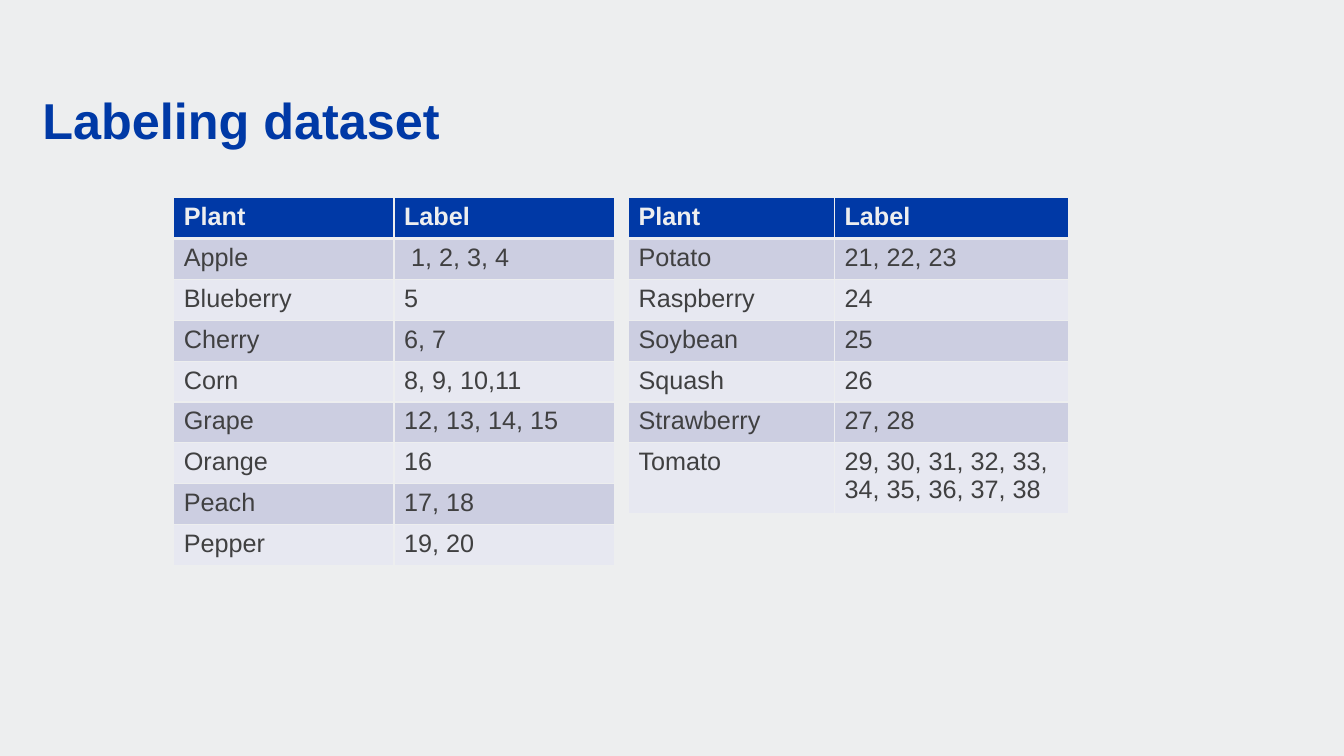
from lxml.etree import SubElement
from pptx import Presentation
from pptx.dml.color import RGBColor
from pptx.enum.text import MSO_ANCHOR
from pptx.oxml.ns import qn
from pptx.util import Cm, Pt

BLUE, PALE, INK = "0039A6", "EDEEEF", "404041"
BANDS = ["CCCEE1", "E7E8F1"]
HEADER = ("Plant", "Label")
ROW_HEIGHT = 1.03
FIRST_PLANTS = [
    ("Apple", " 1, 2, 3, 4"),
    ("Blueberry", "5"),
    ("Cherry", "6, 7"),
    ("Corn", "8, 9, 10,11"),
    ("Grape", "12, 13, 14, 15"),
    ("Orange", "16"),
    ("Peach", "17, 18"),
    ("Pepper", "19, 20"),
]
LAST_PLANTS = [
    ("Potato", "21, 22, 23"),
    ("Raspberry", "24"),
    ("Soybean", "25"),
    ("Squash", "26"),
    ("Strawberry", "27, 28"),
    ("Tomato", "29, 30, 31, 32, 33, 34, 35, 36, 37, 38"),
]


def paint(fill, color):
    """Make a fill solid in a hex colour."""
    fill.solid()
    fill.fore_color.rgb = RGBColor.from_string(color)


def set_font(p, size, color, bold):
    """Set the font of a paragraph."""
    p.font.name = "Arial"
    p.font.size = Pt(size)
    p.font.bold = bold
    paint(p.font.fill, color)


def set_borders(cell, top, bottom):
    """Draw pale borders round a cell, with widths in points."""
    tc_pr = cell._tc.get_or_add_tcPr()
    for side, width in (("L", 1), ("R", 1), ("T", top), ("B", bottom)):
        ln = SubElement(tc_pr, qn(f"a:ln{side}"), w=str(Pt(width)))
        SubElement(SubElement(ln, qn("a:solidFill")), qn("a:srgbClr"), val=PALE)


def add_title(slide, text, left, top, width, height):
    """Place the slide title at the bottom of its box."""
    tf = slide.shapes.add_textbox(Cm(left), Cm(top), Cm(width), Cm(height)).text_frame
    tf.margin_left = tf.margin_top = tf.margin_right = tf.margin_bottom = 0
    tf.word_wrap = True
    tf.vertical_anchor = MSO_ANCHOR.BOTTOM
    p = tf.paragraphs[0]
    p.text = text
    p.line_spacing = 0.9
    set_font(p, 36, BLUE, True)


def add_plant_table(slide, plants, left, top, col_widths):
    """Place a banded table of plants and their labels."""
    rows = [HEADER] + plants
    table = slide.shapes.add_table(
        len(rows), len(HEADER), Cm(left), Cm(top),
        Cm(sum(col_widths)), Cm(ROW_HEIGHT * len(rows))).table
    for column, width in zip(table.columns, col_widths):
        column.width = Cm(width)
    for i, values in enumerate(rows):
        table.rows[i].height = Cm(ROW_HEIGHT)
        is_header = i == 0
        for cell, value in zip(table.rows[i].cells, values):
            cell.text = value
            set_font(cell.text_frame.paragraphs[0], 18,
                     PALE if is_header else INK, is_header)
            set_borders(cell, 3 if i == 1 else 1, 3 if is_header else 1)
            paint(cell.fill, BLUE if is_header else BANDS[(i - 1) % 2])


def main():
    """Build the slide and save it."""
    prs = Presentation()
    prs.slide_width, prs.slide_height = Cm(33.87), Cm(19.05)
    slide = prs.slides.add_slide(prs.slide_layouts[6])
    paint(slide.background.fill, PALE)
    add_title(slide, "Labeling dataset", 1.07, 2.39, 31.75, 1.4)
    add_plant_table(slide, FIRST_PLANTS, 4.38, 4.98, (5.55, 5.55))
    add_plant_table(slide, LAST_PLANTS, 15.84, 4.98, (5.19, 5.91))
    prs.save("out.pptx")


if __name__ == "__main__":
    main()
